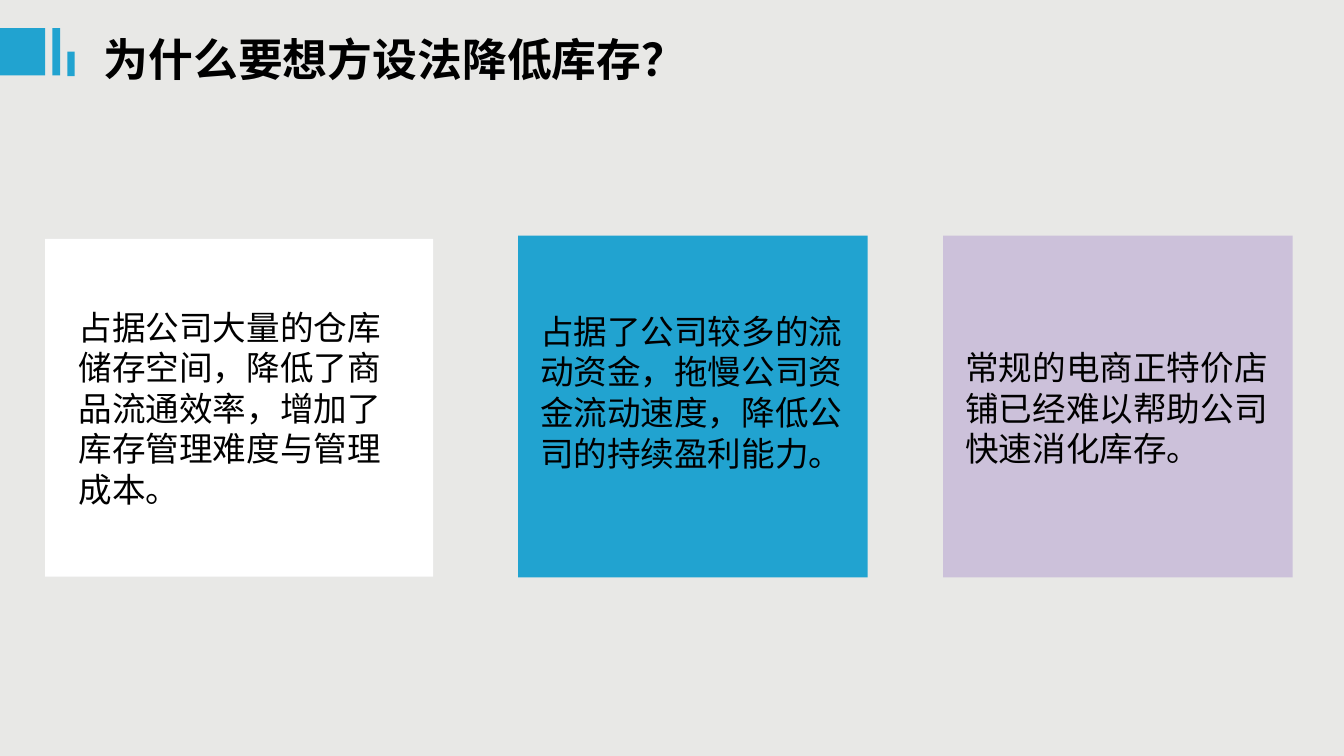
from pptx import Presentation
from pptx.dml.color import RGBColor
from pptx.enum import shapes, text
from pptx.oxml import ns, xmlchemy
from pptx.util import Cm, Pt

FONT = "Noto Sans CJK SC"
BLUE = "21A3D0"
PANELS = [
    # fill, box, text box (left, top, width, height in cm), wording
    (BLUE, (13.06, 5.94, 8.81, 8.61), (13.36, 7.7, 8.2, 4.37),
     "占据了公司较多的流动资金，拖慢公司资金流动速度，降低公司的持续盈利能力。"),
    ("FFFFFF", (1.14, 6.02, 9.78, 8.51), (1.73, 7.59, 8.56, 5.38),
     "占据公司大量的仓库储存空间，降低了商品流通效率，增加了库存管理难度与管理成本。"),
    ("CCC1DA", (23.77, 5.94, 8.81, 8.61), (24.08, 8.61, 8.2, 3.33),
     "常规的电商正特价店铺已经难以帮助公司快速消化库存。"),
]
BARS = [(0, 0.71, 1.14, 1.19), (1.32, 0.71, 0.2, 1.19), (1.7, 1.3, 0.18, 0.62)]


def paint(fill, color):
    fill.solid()
    fill.fore_color.rgb = RGBColor.from_string(color)


def write(frame, words, size=24, bold=False, color="000000"):
    frame.word_wrap = True
    frame.auto_size = text.MSO_AUTO_SIZE.NONE
    frame.vertical_anchor = text.MSO_ANCHOR.TOP
    par = frame.paragraphs[0]
    par.alignment = text.PP_ALIGN.LEFT
    par.line_spacing = Pt(round(size * 1.21))
    run = par.add_run()
    run.text = words
    font = run.font
    font.name, font.size, font.bold = FONT, Pt(size), bold
    paint(font.fill, color)
    east = xmlchemy.OxmlElement("a:ea")
    east.set("typeface", FONT)
    run._r.rPr.find(ns.qn("a:latin")).addnext(east)


class Deck:
    """Holds the presentation, its style and the current slide."""

    def __init__(self):
        self.prs = Presentation()
        self.prs.slide_width, self.prs.slide_height = Cm(33.87), Cm(19.05)
        self.slide = self.prs.slides.add_slide(self.prs.slide_layouts[5])
        paint(self.slide.background.fill, "E8E8E6")

    def title(self, words, box):
        head = self.slide.shapes.title
        head.left, head.top, head.width, head.height = map(Cm, box)
        write(head.text_frame, words, size=32, bold=True)

    def rect(self, box, color):
        shape = self.slide.shapes.add_shape(
            shapes.MSO_SHAPE.RECTANGLE, *map(Cm, box))
        shape.shadow.inherit = False
        shape.line.fill.background()
        paint(shape.fill, color)

    def label(self, words, box):
        shape = self.slide.shapes.add_textbox(*map(Cm, box))
        write(shape.text_frame, words)


def main():
    deck = Deck()
    deck.title("为什么要想方设法降低库存？", (2.36, 0.64, 17.83, 1.63))
    for bar in BARS:
        deck.rect(bar, BLUE)
    for color, box, area, words in PANELS:
        deck.rect(box, color)
        deck.label(words, area)
    deck.prs.save("out.pptx")


if __name__ == "__main__":
    main()
